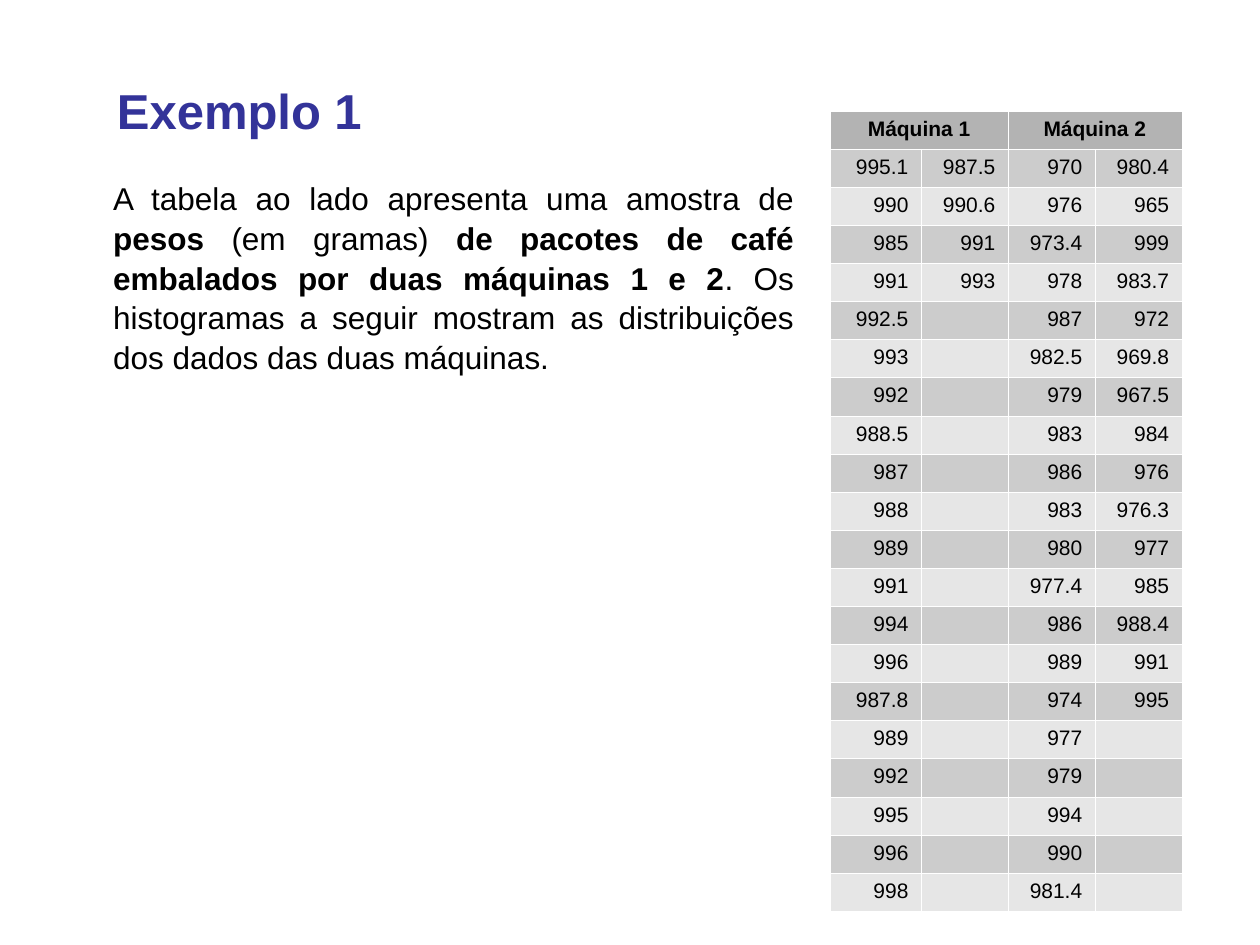
from dataclasses import dataclass

from lxml import etree
from pptx import Presentation
from pptx.dml.color import RGBColor
from pptx.enum.text import MSO_ANCHOR, MSO_AUTO_SIZE, PP_ALIGN
from pptx.oxml.ns import qn
from pptx.util import Inches, Pt

LEFT, CENTER, RIGHT, JUSTIFY = PP_ALIGN.LEFT, PP_ALIGN.CENTER, PP_ALIGN.RIGHT, PP_ALIGN.JUSTIFY
TOP, MIDDLE = MSO_ANCHOR.TOP, MSO_ANCHOR.MIDDLE
GROW = MSO_AUTO_SIZE.SHAPE_TO_FIT_TEXT

FONT = "Arial"
COLORS = {
    "title": "333399",
    "text": "000000",
    "header": "B3B3B3",
    "odd": "CCCCCC",
    "even": "E6E6E6",
    "border": "FFFFFF",
}
CELL_SIZE = 12
BORDER_EMU = 762
COL_WIDTHS = (0.72, 0.69, 0.69, 0.69)
TABLE_HEIGHT = 6.35
HEADERS = ("Máquina 1", "Máquina 2")
WEIGHTS = (
    "995.1 990 985 991 992.5 993 992 988.5 987 988 989 991 994 996 987.8 989 992 995 996 998",
    "987.5 990.6 991 993",
    "970 976 973.4 978 987 982.5 979 983 986 983 980 977.4 986 989 974 977 979 994 990 981.4",
    "980.4 965 999 983.7 972 969.8 967.5 984 976 976.3 977 985 988.4 991 995",
)


@dataclass
class Span:
    text: str
    bold: bool = False


@dataclass
class TextBox:
    left: float
    top: float
    width: float
    height: float
    spans: list[Span]
    size: int
    color: str = "text"
    align: PP_ALIGN = LEFT
    anchor: MSO_ANCHOR = TOP
    spacing: float = 1.0
    grow: bool = False


BOXES = [
    TextBox(0.83, 0.56, 8.51, 0.63, [Span("Exemplo 1", True)], 28, "title", anchor=MIDDLE),
    TextBox(
        0.8, 1.36, 5.6, 1.6,
        [
            Span("A tabela ao lado apresenta uma amostra de "),
            Span("pesos", True),
            Span(" (em gramas) "),
            Span("de pacotes de café embalados por duas máquinas 1 e 2", True),
            Span(". Os histogramas a seguir mostram as distribuições dos dados das duas máquinas."),
        ],
        18, align=JUSTIFY, spacing=1.05, grow=True,
    ),
]


def rgb(name: str) -> RGBColor:
    return RGBColor.from_string(COLORS[name])


def add_run(p, span: Span, size: int, color: str) -> None:
    r = p.add_run()
    r.text = span.text
    r.font.name = FONT
    r.font.size = Pt(size)
    r.font.bold = span.bold
    r.font.color.rgb = rgb(color)


def add_text(slide, box: TextBox) -> None:
    sp = slide.shapes.add_textbox(
        Inches(box.left), Inches(box.top), Inches(box.width), Inches(box.height)
    )
    tf = sp.text_frame
    tf.word_wrap = True
    tf.vertical_anchor = box.anchor
    if box.grow:
        tf.auto_size = GROW
    p = tf.paragraphs[0]
    p.alignment = box.align
    p.line_spacing = box.spacing
    for span in box.spans:
        add_run(p, span, box.size, box.color)


def set_borders(cell) -> None:
    tc_pr = cell._tc.get_or_add_tcPr()
    for side in ("a:lnL", "a:lnR", "a:lnT", "a:lnB"):
        ln = etree.SubElement(tc_pr, qn(side), w=str(BORDER_EMU))
        fill = etree.SubElement(ln, qn("a:solidFill"))
        etree.SubElement(fill, qn("a:srgbClr"), val=COLORS["border"])


def fill_cell(cell, text: str, fill: str, align: PP_ALIGN, bold: bool = False) -> None:
    set_borders(cell)
    cell.fill.solid()
    cell.fill.fore_color.rgb = rgb(fill)
    p = cell.text_frame.paragraphs[0]
    p.alignment = align
    if text:
        add_run(p, Span(text, bold), CELL_SIZE, "text")
    else:
        etree.SubElement(p._p, qn("a:endParaRPr"), sz=str(CELL_SIZE * 100))


def add_weights_table(slide) -> None:
    columns = [column.split() for column in WEIGHTS]
    n_rows = 1 + max(map(len, columns))
    table = slide.shapes.add_table(
        n_rows, len(columns), Inches(6.59), Inches(0.88),
        Inches(sum(COL_WIDTHS)), Inches(TABLE_HEIGHT),
    ).table
    for col, width in zip(table.columns, COL_WIDTHS):
        col.width = Inches(width)
    for row in table.rows:
        row.height = Inches(TABLE_HEIGHT / n_rows)
    for j, column in enumerate(columns):
        header = HEADERS[j // 2] if j % 2 == 0 else ""
        fill_cell(table.cell(0, j), header, "header", CENTER, True)
        for i in range(1, n_rows):
            text = column[i - 1] if i <= len(column) else ""
            fill_cell(table.cell(i, j), text, "odd" if i % 2 else "even", RIGHT)
    for j in range(0, len(columns), 2):
        table.cell(0, j).merge(table.cell(0, j + 1))


def main() -> None:
    """Build the slide with the coffee package weights of two machines."""
    prs = Presentation()
    prs.slide_width, prs.slide_height = Inches(10), Inches(7.5)
    slide = prs.slides.add_slide(prs.slide_layouts[6])
    for box in BOXES:
        add_text(slide, box)
    add_weights_table(slide)
    prs.save("out.pptx")


if __name__ == "__main__":
    main()
